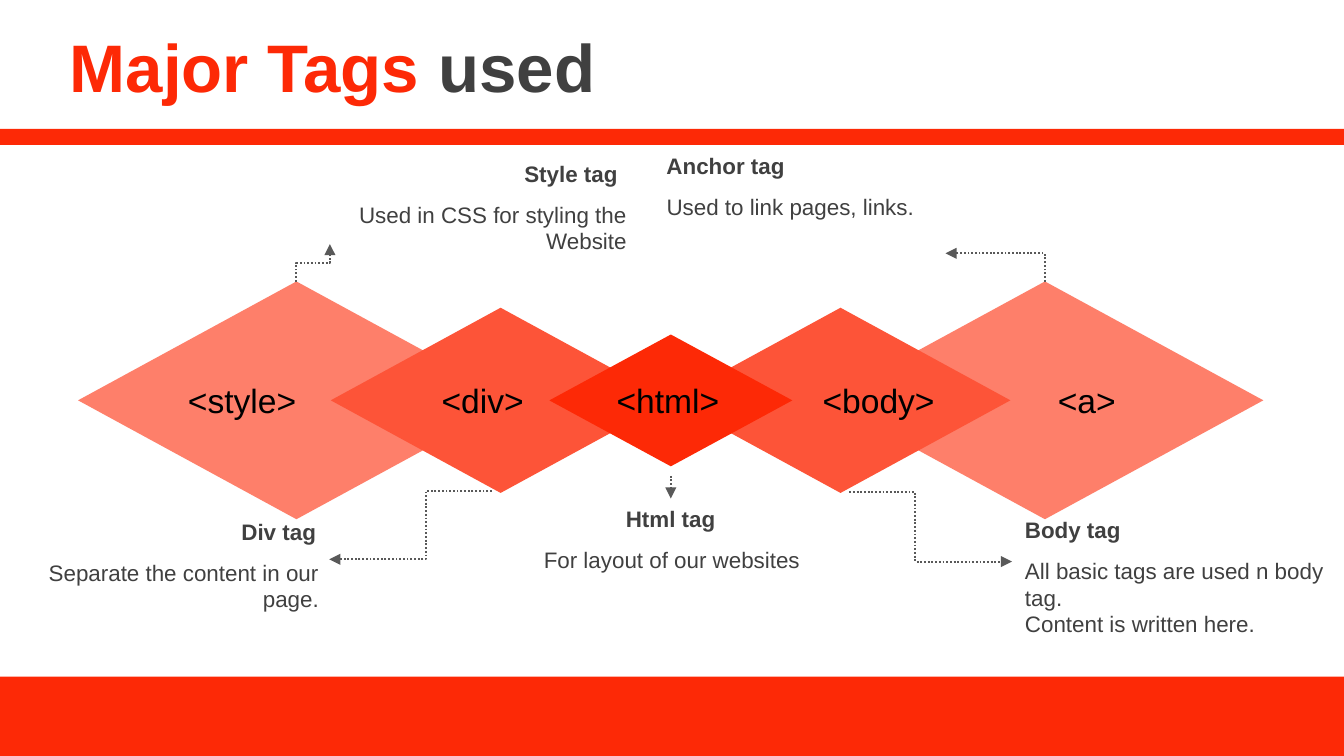
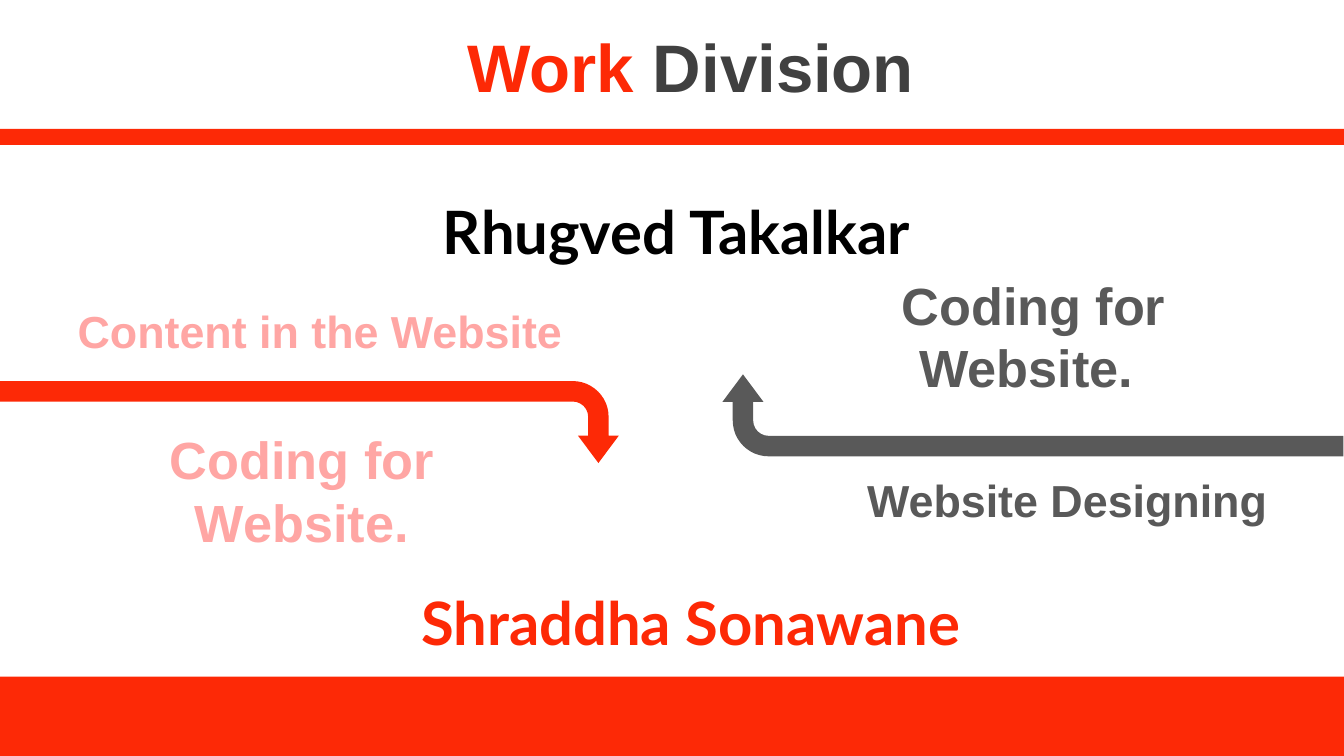
from lxml.etree import SubElement
from pptx import Presentation
from pptx.dml.color import RGBColor
from pptx.enum.dml import MSO_LINE
from pptx.enum.shapes import MSO_CONNECTOR as LINK, MSO_SHAPE as SHAPE
from pptx.enum.text import MSO_ANCHOR as ANCHOR, MSO_AUTO_SIZE as FIT, PP_ALIGN as ALIGN
from pptx.oxml.ns import qn
from pptx.util import Pt

COLORS = {
    "red": "FD2906",
    "orange": "FD5438",
    "salmon": "FE7F6A",
    "pink": "FFA6A4",
    "dark": "404040",
    "gray": "595959",
    "black": "000000",
}
WIDTH, HEIGHT = 720, 405
BANDS = [(0, 362.5, WIDTH, 42.5), (0, 69, WIDTH, 8.7)]
TITLE_FRAME = (20.2, 0, 699.8, 69.8)
TITLE_FORMAT = {"size": Pt(36), "name": "Arial", "bold": True}

TAG_TITLE = [(" Major Tags ", "red"), ("used", "dark")]
DIAMOND_MIDDLE = 214.5
DIAMONDS = [
    (559.8, 234, 127.4, "salmon"),
    (158.8, 234, 127.4, "salmon"),
    (450.3, 182, 99.2, "orange"),
    (268.2, 182, 99.2, "orange"),
    (359.4, 130.2, 70.6, "red"),
]
TAG_NAMES = [
    ("<style>", 93.6, 82.8),
    ("<div>", 229.5, 64.8),
    ("<html>", 323.2, 73.4),
    ("<body>", 433.6, 85),
    ("<a>", 559.6, 61.2),
]
CALLOUTS = [
    ("Style tag ", ["Used in CSS for styling the Website"], 157, 82, ALIGN.RIGHT),
    ("Div tag", ["Separate the content in our page."], -7.9, 273.8, ALIGN.RIGHT),
    ("Anchor tag", ["Used to link pages, links."], 350, 77.8, ALIGN.LEFT),
    ("Body tag", ["All basic tags are used n body tag.", "Content is written here."],
     542, 272.8, ALIGN.LEFT),
    ("Html tag", ["For layout of our websites"], 267.1, 266.9, ALIGN.CENTER),
]
ARROWS = [
    ("bentConnector3", (157.7, 131.8), (177.8, 149.8), 270, 50000),
    ("bentConnector2", (525.6, 169.9), (540.7, 116.7), 270, None),
    ("line", (359.4, 254.9), (359.4, 267.1), 0, None),
    ("bentConnector3", (263.5, 262.9), (176.4, 299.6), 0, 40500),
    ("bentConnector3", (455, 263.6), (542.2, 300.9), 0, 40500),
]

WORK_TITLE = [("Work ", "red"), ("Division", "dark")]
BENT_ARROWS = [
    ((143.3, 59.8, 43.9, 332.6), 90, "red"),
    ((531.4, 56.2, 43.9, 332.6), 270, "gray"),
]
BEND = (0.25, 0.25, 0.335, 0.438)
WORK_TEXTS = [
    (["Rhugved Takalkar "], (178.6, 100.8, 375.1, 46), 32, "Lato", "black", True),
    (["Shraddha Sonawane"], (171.4, 310.5, 397.4, 46), 32, "Lato", "red", True),
    (["Coding for Website. "], (447.1, 142.6, 213.1, 74.9), 28, "Arial", "gray", True),
    (["Website Designing"], (456.5, 249.8, 230.4, 36), 24, "Arial", "gray", False),
    (["Content in the Website"], (33.1, 159.1, 276.5, 36), 24, "Arial", "pink", False),
    (["Coding for ", "Website. "], (82.8, 225.4, 165.6, 74.9), 28, "Arial", "pink", False),
]


def points(values):
    return [Pt(value) for value in values]


def color(name):
    return RGBColor.from_string(COLORS[name])


def add_span(para, text, shade, formats):
    span = para.add_run()
    span.text = text
    for key, value in formats.items():
        setattr(span.font, key, value)
    span.font.color.rgb = color(shade)


def add_text(page, lines, frame, size, shade, align=ALIGN.LEFT,
             font="Arial", bold=False, wrap=True):
    box = page.shapes.add_textbox(*points(frame))
    box.text_frame.word_wrap = wrap
    for index, line in enumerate(lines):
        para = box.text_frame.add_paragraph() if index else box.text_frame.paragraphs[0]
        para.alignment = align
        add_span(para, line, shade, {"size": Pt(size), "name": font, "bold": bold})


def add_filled(page, kind, frame, shade):
    shape = page.shapes.add_shape(kind, *points(frame))
    shape.shadow.inherit = False
    shape.fill.solid()
    shape.fill.fore_color.rgb = color(shade)
    shape.line.fill.background()
    return shape


def add_arrow(page, kind, start, end, turn, bend):
    link = LINK.STRAIGHT if kind == "line" else LINK.ELBOW
    arrow = page.shapes.add_connector(link, *points(start + end))
    arrow.line.color.rgb = color("gray")
    arrow.line.width = Pt(1)
    arrow.line.dash_style = MSO_LINE.ROUND_DOT
    SubElement(arrow.line._get_or_add_ln(), qn("a:tailEnd"), type="triangle")
    props = arrow._element.spPr
    SubElement(props, qn("a:effectLst"))
    if turn:
        props.find(qn("a:xfrm")).set("rot", str(turn * 60000))
    geometry = props.find(qn("a:prstGeom"))
    geometry.set("prst", kind)
    if bend:
        SubElement(geometry.find(qn("a:avLst")), qn("a:gd"), name="adj1", fmla=f"val {bend}")


def add_page(deck, spans, align):
    page = deck.slides.add_slide(deck.slide_layouts[5])
    for band in BANDS:
        add_filled(page, SHAPE.RECTANGLE, band, "red")
    title = page.shapes.title
    title.left, title.top, title.width, title.height = points(TITLE_FRAME)
    frame = title.text_frame
    frame.auto_size = FIT.NONE
    frame.vertical_anchor = ANCHOR.MIDDLE
    para = frame.paragraphs[0]
    para.alignment = align
    for text, shade in spans:
        add_span(para, text, shade, TITLE_FORMAT)
    return page


def build_tags(deck):
    page = add_page(deck, TAG_TITLE, ALIGN.LEFT)
    for center, width, height, shade in DIAMONDS:
        frame = (center - width / 2, DIAMOND_MIDDLE - height / 2, width, height)
        add_filled(page, SHAPE.DIAMOND, frame, shade)
    for heading, lines, left, top, align in CALLOUTS:
        height = 7.2 + 14.4 * len(lines)
        add_text(page, lines, (left, top + 22, 185.8, height), 12, "dark", align)
        add_text(page, [heading], (left, top, 184.3, 21.6), 12, "dark", align, bold=True)
    for arrow in ARROWS:
        add_arrow(page, *arrow)
    for name, left, width in TAG_NAMES:
        add_text(page, [name], (left, 200.2, width, 28.8), 18, "black")


def build_work(deck):
    page = add_page(deck, WORK_TITLE, ALIGN.CENTER)
    for frame, turn, shade in BENT_ARROWS:
        arrow = add_filled(page, SHAPE.BENT_ARROW, frame, shade)
        arrow.rotation = turn
        for index, value in enumerate(BEND):
            arrow.adjustments[index] = value
    for lines, frame, size, font, shade, wrap in WORK_TEXTS:
        add_text(page, lines, frame, size, shade, ALIGN.CENTER, font, True, wrap)


def main():
    deck = Presentation()
    deck.slide_width, deck.slide_height = Pt(WIDTH), Pt(HEIGHT)
    build_tags(deck)
    build_work(deck)
    deck.save("out.pptx")


if __name__ == "__main__":
    main()
